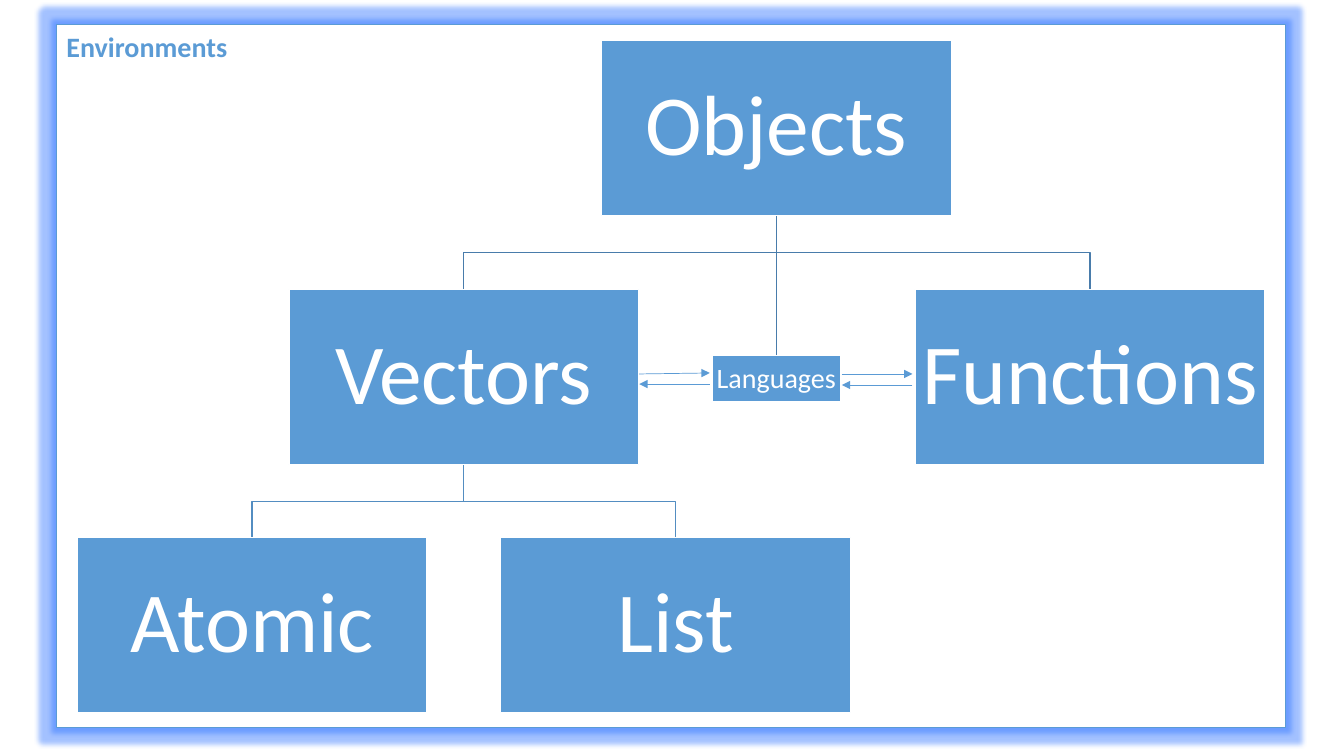
from lxml import etree
from pptx import Presentation
from pptx.dml.color import RGBColor
from pptx.enum.shapes import MSO_CONNECTOR, MSO_SHAPE
from pptx.enum.text import MSO_ANCHOR, MSO_AUTO_SIZE, PP_ALIGN
from pptx.oxml.ns import qn
from pptx.util import Inches, Pt

RECTANGLE = MSO_SHAPE.RECTANGLE
STRAIGHT = MSO_CONNECTOR.STRAIGHT
MIDDLE = MSO_ANCHOR.MIDDLE
CENTER = PP_ALIGN.CENTER
FIT_SHAPE = MSO_AUTO_SIZE.SHAPE_TO_FIT_TEXT

BLUE, WHITE = "5B9BD5", "FFFFFF"
TOP_BRANCH, LOWER_BRANCH = "497CAB", "538DC1"
BOX_WIDTH, BOX_HEIGHT = 3.47, 1.74
ROW_TOPS = [0.4, 2.87, 5.33]
ROW_GAP = 0.73
OBJECTS_X, VECTORS_X, FUNCTIONS_X = 7.7, 4.6, 10.81
ATOMIC_X, LIST_X = 2.5, 6.7
LANGUAGES_TOP = 3.53


def paint(color_format, hex_color):
    """Set a fill, line or font colour from a hex string."""
    color_format.rgb = RGBColor.from_string(hex_color)


def add_line(start, end, color, width):
    """Add a straight connector without shadow and return it."""
    connector = slide.shapes.add_connector(
        STRAIGHT, *[Inches(value) for value in (*start, *end)])
    paint(connector.line.color, color)
    connector.line.width = Pt(width)
    etree.SubElement(connector._element.spPr, qn("a:effectLst"))
    return connector


prs = Presentation()
prs.slide_width, prs.slide_height = Inches(13.33), Inches(7.5)
slide = prs.slides.add_slide(prs.slide_layouts[6])

# Glowing frame of the environments
frame = slide.shapes.add_shape(
    RECTANGLE, Inches(0.56), Inches(0.24), Inches(12.19), Inches(6.98))
frame.fill.solid()
paint(frame.fill.fore_color, WHITE)
paint(frame.line.color, BLUE)
frame.line.width = Pt(1)
frame.shadow.inherit = False
effects = frame._element.spPr.find(qn("a:effectLst"))
glow = etree.SubElement(effects, qn("a:glow"), rad=str(Pt(8)))
glow_color = etree.SubElement(glow, qn("a:srgbClr"), val="1A66FF")
etree.SubElement(glow_color, qn("a:alpha"), val="40000")

# Branches from each parent to its children
branches = [
    (OBJECTS_X, FUNCTIONS_X, 0, TOP_BRANCH),
    (OBJECTS_X, VECTORS_X, 0, TOP_BRANCH),
    (VECTORS_X, LIST_X, 1, LOWER_BRANCH),
    (VECTORS_X, ATOMIC_X, 1, LOWER_BRANCH),
]
for parent_x, child_x, row, color in branches:
    parent_bottom = ROW_TOPS[row] + BOX_HEIGHT
    bend_y = parent_bottom + ROW_GAP / 2
    corners = [(parent_x, parent_bottom), (parent_x, bend_y),
               (child_x, bend_y), (child_x, ROW_TOPS[row + 1])]
    start, *bends = [(Inches(x), Inches(y)) for x, y in corners]
    builder = slide.shapes.build_freeform(*start)
    builder.add_line_segments(bends, close=False)
    branch = builder.convert_to_shape()
    branch.fill.background()
    paint(branch.line.color, color)
    branch.line.width = Pt(1)
    branch.shadow.inherit = False
add_line((OBJECTS_X, ROW_TOPS[0] + BOX_HEIGHT), (OBJECTS_X, LANGUAGES_TOP),
         TOP_BRANCH, 1)

# Boxes: label, centre, top, width, height, font size, inset
large = (BOX_WIDTH, BOX_HEIGHT, 61, 0.04)
boxes = [
    ("Objects", OBJECTS_X, ROW_TOPS[0], *large),
    ("Vectors", VECTORS_X, ROW_TOPS[1], *large),
    ("Atomic", ATOMIC_X, ROW_TOPS[2], *large),
    ("List", LIST_X, ROW_TOPS[2], *large),
    ("Languages", OBJECTS_X, LANGUAGES_TOP, 1.28, 0.46, 20, 0.01),
    ("Functions", FUNCTIONS_X, ROW_TOPS[1], *large),
]
for label, center_x, top, width, height, size, inset in boxes:
    box = slide.shapes.add_shape(
        RECTANGLE, Inches(center_x - width / 2), Inches(top),
        Inches(width), Inches(height))
    box.fill.solid()
    paint(box.fill.fore_color, BLUE)
    paint(box.line.color, WHITE)
    box.line.width = Pt(1)
    box.shadow.inherit = False
    box_text = box.text_frame
    box_text.text = label
    box_text.word_wrap = True
    box_text.vertical_anchor = MIDDLE
    box_text.margin_left = box_text.margin_right = Inches(inset)
    box_text.margin_top = box_text.margin_bottom = Inches(inset)
    paragraph = box_text.paragraphs[0]
    paragraph.alignment = CENTER
    paragraph.line_spacing = 0.9
    font = paragraph.runs[0].font
    font.name, font.size = "Calibri", Pt(size)
    paint(font.color, WHITE)

# Arrow pairs linking Languages with its neighbours
arrows = [
    ((8.35, 3.71), (9.05, 3.71)),
    ((9.05, 3.82), (8.35, 3.82)),
    ((6.34, 3.71), (7.04, 3.7)),
    ((7.04, 3.81), (6.34, 3.81)),
]
for start, end in arrows:
    arrow = add_line(start, end, BLUE, 0.5)
    etree.SubElement(arrow.line._get_or_add_ln(), qn("a:tailEnd"), type="triangle")

# Label of the frame
environments = slide.shapes.add_textbox(
    Inches(0.56), Inches(0.24), Inches(1.81), Inches(0.44))
environments.text_frame.text = "Environments"
environments.text_frame.word_wrap = False
environments.text_frame.auto_size = FIT_SHAPE
font = environments.text_frame.paragraphs[0].runs[0].font
font.name, font.size, font.bold = "Calibri", Pt(20), True
paint(font.color, BLUE)

prs.save("out.pptx")
